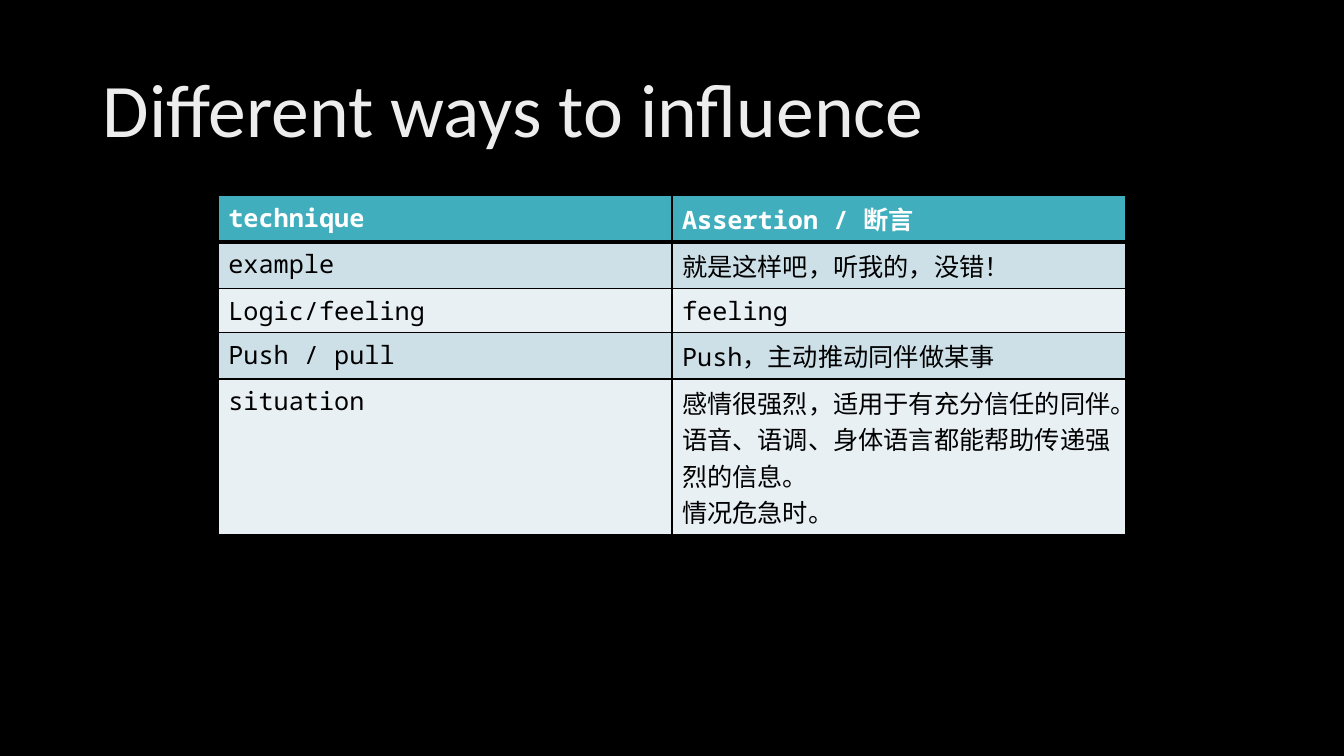
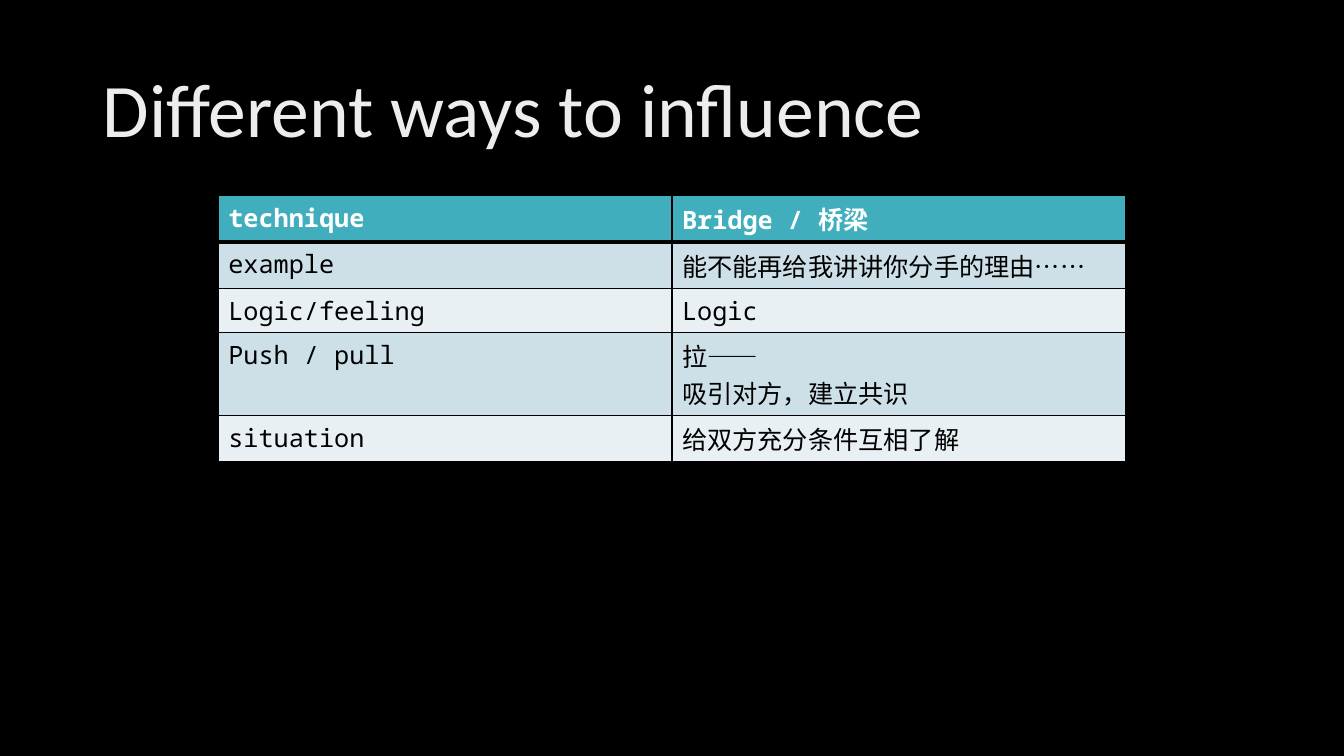
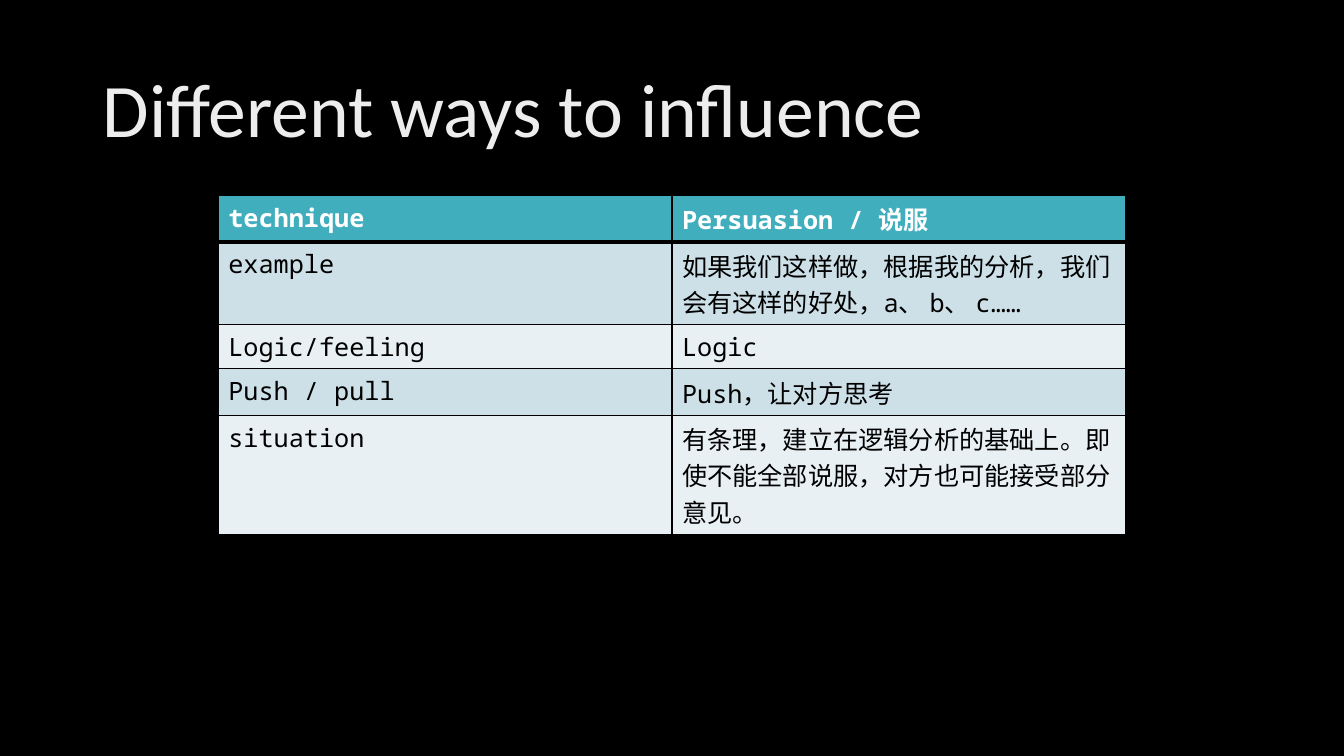
import pptx
import pptx.dml.color
import pptx.enum.text
import pptx.oxml.ns
import pptx.util
from lxml import etree

Inches, Pt = pptx.util.Inches, pptx.util.Pt
RGB = pptx.dml.color.RGBColor.from_string

COLORS = {
    "background": "000000",
    "title": "EDEDED",
    "header": "41AEBD",
    "header_text": "FFFFFF",
    "band_dark": "CDE0E8",
    "band_light": "E8F0F4",
    "text": "000000",
    "border": "000000",
}
SLIDE_WIDTH, TABLE_WIDTH = 13.33, 9
LINE_HEIGHT, CELL_PADDING = 0.36, 0.1
LATIN_ROW_HEIGHT = 0.44
TITLE = "Different ways to influence"
ASPECTS = ["technique", "example", "Logic/feeling", "Push / pull", "situation"]
# Each answer is followed by the number of lines it takes in its cell.
TECHNIQUES = [
    [
        ("Assertion / 断言", 1),
        ("就是这样吧，听我的，没错！", 1),
        ("feeling", 1),
        ("Push，主动推动同伴做某事", 1),
        ("感情很强烈，适用于有充分信任的同伴。语音、语调、身体语言都能帮助传递强烈的信息。\n情况危急时。", 4),
    ],
    [
        ("Bridge / 桥梁", 1),
        ("能不能再给我讲讲你分手的理由……", 1),
        ("Logic", 1),
        ("拉——\n吸引对方，建立共识", 2),
        ("给双方充分条件互相了解", 1),
    ],
    [
        ("Persuasion / 说服", 1),
        ("如果我们这样做，根据我的分析，我们会有这样的好处，a、 b、 c……", 2),
        ("Logic", 1),
        ("Push，让对方思考", 1),
        ("有条理，建立在逻辑分析的基础上。即使不能全部说服，对方也可能接受部分意见。", 3),
    ],
]


def add_borders(cell, top, bottom):
    """Draw all four cell borders; top and bottom are widths in points."""
    properties = cell._tc.get_or_add_tcPr()
    for side, width in (("L", 1), ("R", 1), ("T", top), ("B", bottom)):
        line = etree.SubElement(properties, pptx.oxml.ns.qn(f"a:ln{side}"), w=str(Pt(width)))
        fill = etree.SubElement(line, pptx.oxml.ns.qn("a:solidFill"))
        etree.SubElement(fill, pptx.oxml.ns.qn("a:srgbClr"), val=COLORS["border"])


prs = pptx.Presentation()
prs.slide_width, prs.slide_height = Inches(SLIDE_WIDTH), Inches(7.5)
master_fill = prs.slide_master.background.fill
master_fill.solid()
master_fill.fore_color.rgb = RGB(COLORS["background"])

for answers in TECHNIQUES:
    slide = prs.slides.add_slide(prs.slide_layouts[6])

    title = slide.shapes.add_textbox(Inches(0.92), Inches(0.4), Inches(11.5), Inches(1.45)).text_frame
    title.word_wrap = True
    title.vertical_anchor = pptx.enum.text.MSO_ANCHOR.MIDDLE
    title.text = TITLE
    heading = title.paragraphs[0]
    heading.line_spacing = 0.9
    heading.font.name = "Calibri"
    heading.font.size = Pt(54)
    heading.font.color.rgb = RGB(COLORS["title"])

    heights = [
        LATIN_ROW_HEIGHT if answer.isascii() else CELL_PADDING + LINE_HEIGHT * lines
        for answer, lines in answers
    ]
    table = slide.shapes.add_table(
        len(ASPECTS), 2, Inches((SLIDE_WIDTH - TABLE_WIDTH) / 2), Inches(1.94),
        Inches(TABLE_WIDTH), Inches(sum(heights)),
    ).table
    for row, (aspect, (answer, _)) in enumerate(zip(ASPECTS, answers)):
        table.rows[row].height = Inches(heights[row])
        is_header = row == 0
        band = "header" if is_header else "band_dark" if row % 2 else "band_light"
        for column, text in enumerate((aspect, answer)):
            cell = table.cell(row, column)
            add_borders(cell, top=3 if row == 1 else 1, bottom=3 if is_header else 1)
            cell.fill.solid()
            cell.fill.fore_color.rgb = RGB(COLORS[band])
            cell.text = text
            for paragraph in cell.text_frame.paragraphs:
                paragraph.font.name = "Noto Sans Mono"
                paragraph.font.size = Pt(18)
                paragraph.font.bold = is_header
                paragraph.font.color.rgb = RGB(COLORS["header_text" if is_header else "text"])

prs.save("out.pptx")
